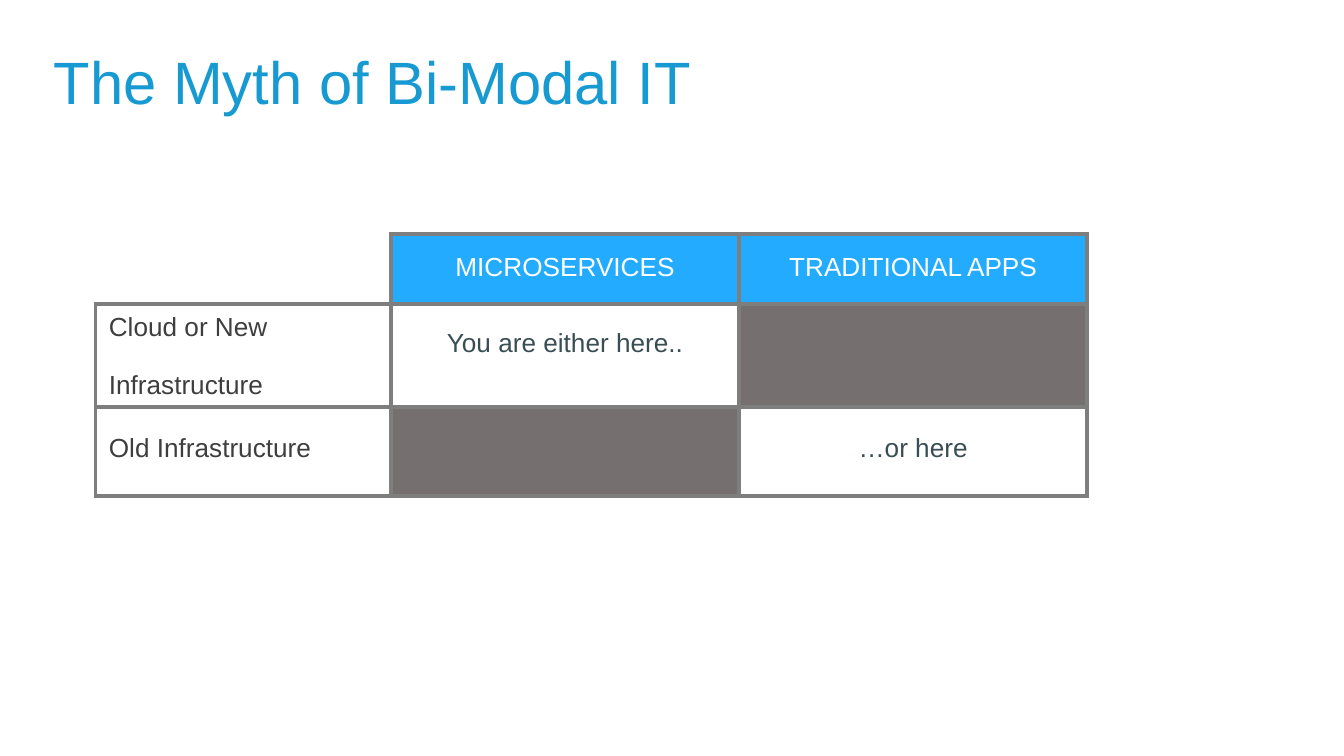
from dataclasses import dataclass

from lxml import etree
from pptx import Presentation
from pptx.dml.color import RGBColor
from pptx.enum.text import MSO_ANCHOR, MSO_AUTO_SIZE, PP_ALIGN
from pptx.oxml.ns import qn
from pptx.util import Inches, Pt

LEFT, CENTER = PP_ALIGN.LEFT, PP_ALIGN.CENTER
TOP = MSO_ANCHOR.TOP
NO_AUTOFIT = MSO_AUTO_SIZE.NONE
TITLE_ONLY = 5
GRID_COLUMNS = 10
SIDES = "LRTB"


@dataclass(frozen=True)
class Theme:
    font: str = "Arial"
    title_size: int = 32
    cell_size: int = 14
    line_gap: int = 15
    border_width: float = 2.25
    title: str = "179AD1"
    header_fill: str = "23ACFF"
    header_text: str = "FFFFFF"
    label_text: str = "3E3E3E"
    body_text: str = "394E54"
    blocked_fill: str = "756F6F"
    border: str = "7E7E7E"


THEME = Theme()


@dataclass(frozen=True)
class CellStyle:
    color: str = THEME.body_text
    fill: str = ""
    top: float = 0
    left: float = 0
    align: PP_ALIGN = CENTER
    borders: str = SIDES


CORNER = CellStyle(borders="RB")
HEADER = CellStyle(THEME.header_text, THEME.header_fill, top=0.14)
CLOUD_LABEL = CellStyle(THEME.label_text, top=0.07, left=0.1, align=LEFT)
OLD_LABEL = CellStyle(THEME.label_text, top=0.2, left=0.1, align=LEFT)
EITHER = CellStyle(top=0.19)
OR = CellStyle(top=0.2)
BLOCKED = CellStyle(fill=THEME.blocked_fill)


class SlideBuilder:
    def __init__(self, deck, theme):
        self.theme = theme
        self.unit = deck.slide_width / GRID_COLUMNS
        self.page = deck.slides.add_slide(deck.slide_layouts[TITLE_ONLY])

    def place(self, *lengths):
        return [round(length * self.unit) for length in lengths]

    def style_text(self, frame, size, color, align):
        for para in frame.paragraphs:
            para.alignment = align
            for span in para.runs:
                span.font.name = self.theme.font
                span.font.size = Pt(size)
                span.font.color.rgb = RGBColor.from_string(color)

    def title(self, text, area):
        box = self.page.shapes.title
        box.left, box.top, box.width, box.height = self.place(*area)
        frame = box.text_frame
        frame.text = text
        frame.auto_size = NO_AUTOFIT
        frame.word_wrap = False
        frame.vertical_anchor = TOP
        frame.margin_left = frame.margin_right = frame.margin_bottom = 0
        frame.margin_top = Inches(0.02)
        self.style_text(frame, self.theme.title_size, self.theme.title, LEFT)

    def border(self, cell, sides):
        properties = cell._tc.get_or_add_tcPr()
        for index, side in enumerate(SIDES):
            line = etree.Element(qn(f"a:ln{side}"))
            if side in sides:
                line.set("w", str(Pt(self.theme.border_width)))
                fill = etree.SubElement(line, qn("a:solidFill"))
                etree.SubElement(fill, qn("a:srgbClr"), val=self.theme.border)
            else:
                etree.SubElement(line, qn("a:noFill"))
            properties.insert(index, line)

    def cell(self, cell, text, style):
        cell.margin_left, cell.margin_top = Inches(style.left), Inches(style.top)
        cell.margin_right = cell.margin_bottom = 0
        cell.vertical_anchor = TOP
        frame = cell.text_frame
        frame.text = text
        self.style_text(frame, self.theme.cell_size, style.color, style.align)
        for para in frame.paragraphs[1:]:
            para.space_before = Pt(self.theme.line_gap)
        if style.fill:
            cell.fill.solid()
            cell.fill.fore_color.rgb = RGBColor.from_string(style.fill)
        else:
            cell.fill.background()
        self.border(cell, style.borders)

    def table(self, rows, corner, widths, heights):
        area = self.place(*corner, sum(widths), sum(heights))
        table = self.page.shapes.add_table(len(rows), len(rows[0]), *area).table
        table.first_row = table.horz_banding = False
        for column, width in zip(table.columns, self.place(*widths)):
            column.width = width
        for row, height, entries in zip(table.rows, self.place(*heights), rows):
            row.height = height
            for cell, (text, style) in zip(row.cells, entries):
                self.cell(cell, text, style)


def main():
    deck = Presentation()
    deck.slide_width = Inches(10)
    deck.slide_height = deck.slide_width * 9 // 16
    builder = SlideBuilder(deck, THEME)
    builder.title("The Myth of Bi-Modal IT", (0.4, 0.31, 4.76, 0.56))
    rows = [
        [("", CORNER), ("MICROSERVICES", HEADER), ("TRADITIONAL APPS", HEADER)],
        [("Cloud or New\nInfrastructure", CLOUD_LABEL), ("You are either here..", EITHER), ("", BLOCKED)],
        [("Old Infrastructure", OLD_LABEL), ("", BLOCKED), ("…or here", OR)],
    ]
    builder.table(rows, (0.71, 1.74), (2.2, 2.59, 2.59), (0.52, 0.77, 0.66))
    deck.save("out.pptx")


if __name__ == "__main__":
    main()
